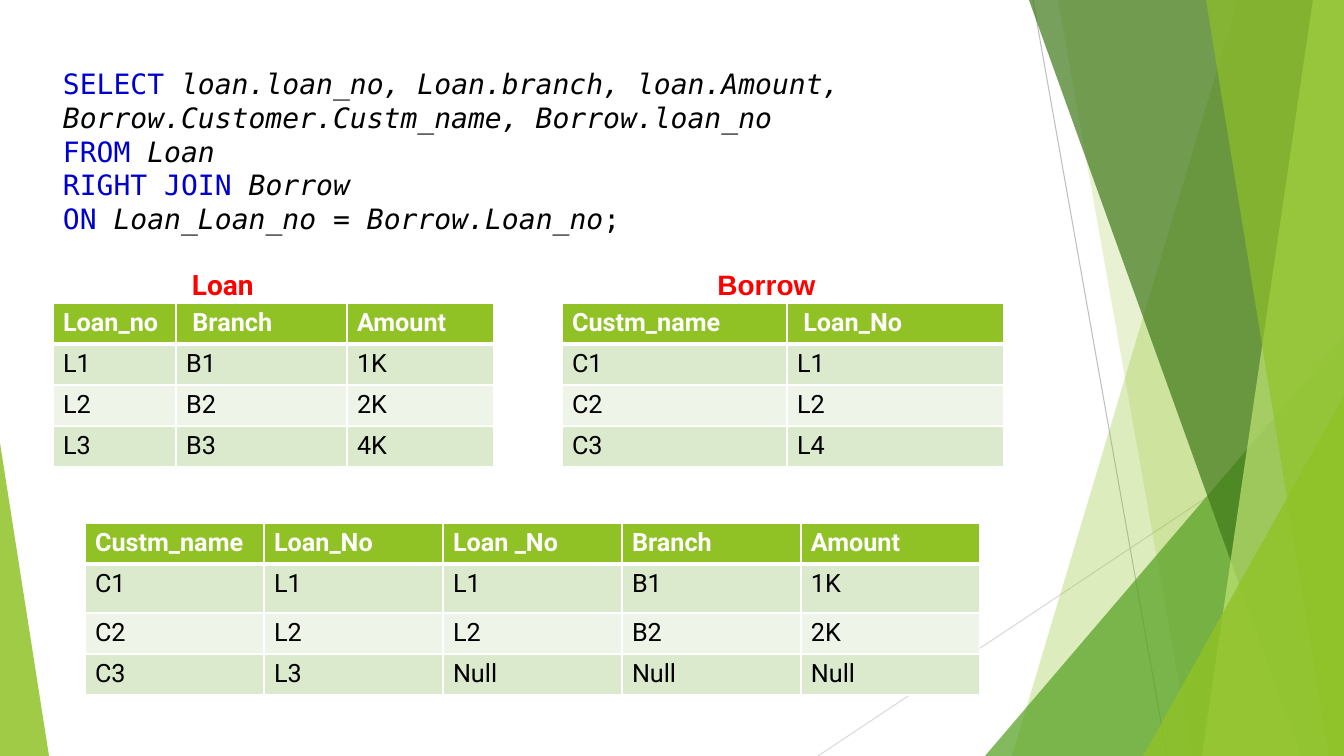
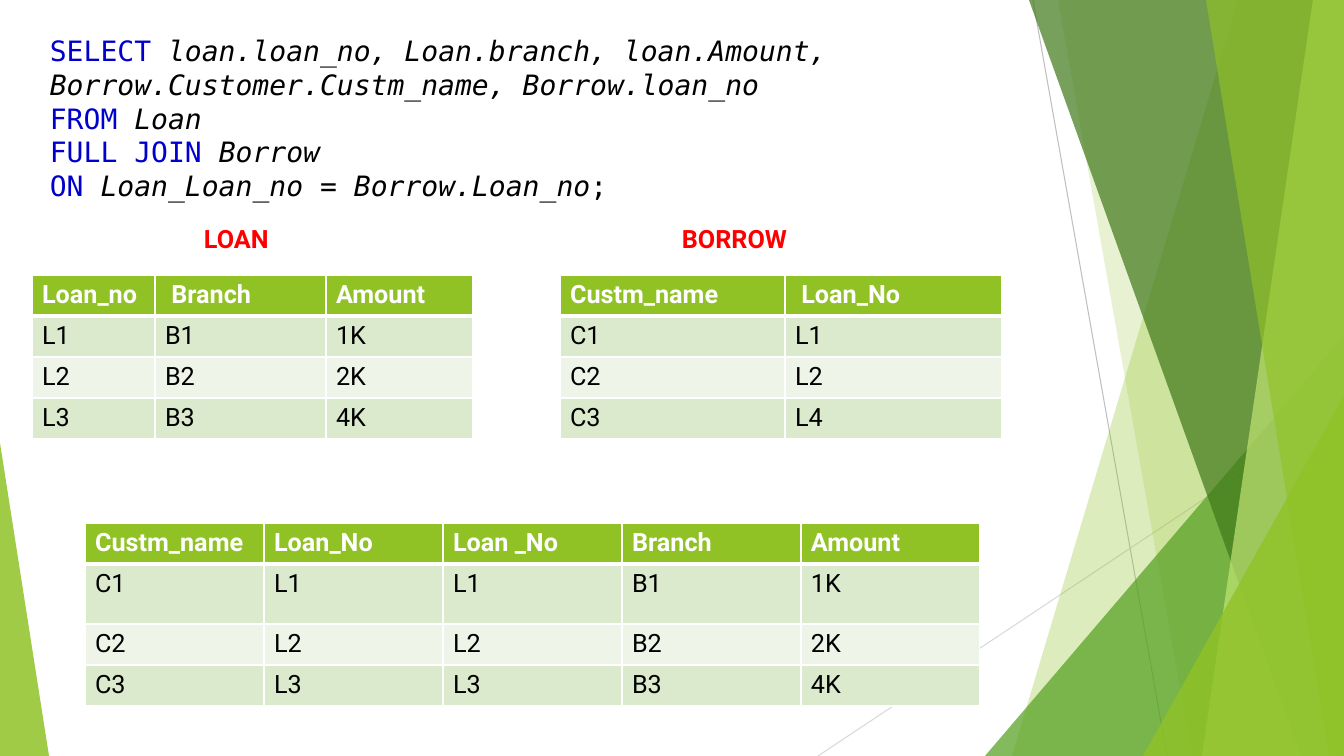
from collections import namedtuple

from lxml import etree
from pptx import Presentation
from pptx.dml.color import RGBColor
from pptx.enum.shapes import MSO_CONNECTOR, MSO_SHAPE
from pptx.enum.text import PP_ALIGN
from pptx.oxml.ns import qn
from pptx.util import Emu, Pt

STRAIGHT = MSO_CONNECTOR.STRAIGHT
TRIANGLE = MSO_SHAPE.ISOSCELES_TRIANGLE
LEFT, CENTER = PP_ALIGN.LEFT, PP_ALIGN.CENTER

WHITE = RGBColor(0xFF, 0xFF, 0xFF)
BLACK = RGBColor(0x00, 0x00, 0x00)
RED = RGBColor(0xFF, 0x00, 0x00)
KEYWORD_BLUE = RGBColor(0x00, 0x00, 0xCD)
LIME = RGBColor(0x90, 0xC2, 0x26)
GREEN = RGBColor(0x54, 0xA0, 0x21)
DARK_GREEN = RGBColor(0x3F, 0x78, 0x19)
PALE_LIME = RGBColor(0xC0, 0xE4, 0x74)
ROW_TINT = RGBColor(0xDB, 0xE9, 0xCD)
ROW_LIGHT = RGBColor(0xEE, 0xF4, 0xE8)
GREY = RGBColor(0xBF, 0xBF, 0xBF)
LIGHT_GREY = RGBColor(0xD9, 0xD9, 0xD9)

BODY_FONT, CODE_FONT, ALT_FONT = "Roboto", "DejaVu Sans Mono", "Arial"
NBSP = "\u00a0"
ROW_HEIGHT = 41

Box = namedtuple("Box", "left top width height")
PAGE = Box(0, 0, 1344, 756)

LOAN_COLUMNS = (123, 171, 147)
LOAN_ROWS = (
    ("Loan_no", " Branch", "Amount"),
    ("L1", "B1", "1K"),
    ("L2", "B2", "2K"),
    ("L3", "B3", "4K"),
)
BORROW_COLUMNS = (225, 217)
BORROW_ROWS = (
    ("Custm_name", " Loan_No"),
    ("C1", "L1"),
    ("C2", "L2"),
    ("C3", "L4"),
)
RESULT_COLUMNS = (179,) * 5
RESULT_ROWS = (
    ("Custm_name", "Loan_No", "Loan _No", "Branch", "Amount"),
    ("C1", "L1", "L1", "B1", "1K"),
    ("C2", "L2", "L2", "B2", "2K"),
)


def px(length):
    return Emu(round(length * 12192000 / PAGE.width))


def style_font(font, name, size, color, bold=False):
    font.name = name
    font.size = Pt(size)
    font.color.rgb = color
    font.bold = bold


def paint(shape, color, opacity):
    shape.shadow.inherit = False
    shape.line.fill.background()
    shape.fill.solid()
    shape.fill.fore_color.rgb = color
    tone = shape.element.spPr.find(qn("a:solidFill")).find(qn("a:srgbClr"))
    etree.SubElement(tone, qn("a:alpha"), val=str(opacity * 1000))


def add_hairline(page, start, end, color):
    line = page.shapes.add_connector(STRAIGHT, *map(px, start + end))
    line.line.color.rgb = color
    line.line.width = Pt(0.75)
    etree.SubElement(line.element.spPr, qn("a:effectLst"))


def add_band(page, box, top_x, bottom_x, color, opacity):
    right, bottom = box.left + box.width, box.top + box.height
    outline = page.shapes.build_freeform(px(box.left + top_x), px(box.top), 1.0)
    corners = ((right, box.top), (right, bottom), (box.left + bottom_x, bottom))
    outline.add_line_segments([(px(x), px(y)) for x, y in corners])
    paint(outline.convert_to_shape(), color, opacity)


def add_corner(page, box, apex, color, opacity):
    corner = page.shapes.add_shape(TRIANGLE, *map(px, box))
    corner.adjustments[0] = apex
    paint(corner, color, opacity)


def add_corner_right(page, box, width, height, color, opacity):
    left = box.left + box.width - width
    top = box.top + box.height - height
    add_corner(page, Box(left, top, width, height), 1, color, opacity)


def add_backdrop(page, box):
    left, top = box.left, box.top
    right, bottom = left + box.width, top + box.height
    add_hairline(page, (left + 1033, top), (left + 1167, bottom), GREY)
    add_hairline(page, (right, top + 406), (left + 818, bottom), LIGHT_GREY)
    add_band(page, box, 1238, 1012, LIME, 30)
    add_band(page, box, 1058, 1192, LIME, 20)
    add_corner_right(page, box, 359, 420, GREEN, 72)
    add_band(page, box, 1029, 1301, DARK_GREEN, 70)
    add_band(page, box, 1313, 1202, PALE_LIME, 70)
    add_band(page, box, 1206, 1329, LIME, 65)
    add_corner_right(page, box, 201, 360, LIME, 80)
    add_corner(page, Box(left, bottom - 313, 49, 313), 0, LIME, 85)


def add_text_box(page, box):
    frame = page.shapes.add_textbox(*map(px, box)).text_frame
    frame.word_wrap = True
    return frame.paragraphs[0]


def add_query(page, box, join):
    para = add_text_box(page, box)
    para.font.name = CODE_FONT
    para.font.size = Pt(20)
    columns = ("loan.loan_no, Loan.branch, loan.Amount, "
               "Borrow.Customer.Custm_name, Borrow.loan_no")
    clauses = (
        ("SELECT", ((columns, True),)),
        ("FROM", (("Loan", True),)),
        (join + NBSP + "JOIN", (("Borrow", True),)),
        ("ON", (("Loan_Loan_no" + NBSP, True), ("=" + NBSP, False),
                ("Borrow.Loan_no", True), (";", False))),
    )
    for index, (keyword, parts) in enumerate(clauses):
        if index:
            para.add_line_break()
        spans = ((keyword + NBSP, False, KEYWORD_BLUE),
                 *((text, italic, BLACK) for text, italic in parts))
        for text, italic, color in spans:
            span = para.add_run()
            span.text = text
            span.font.italic = italic
            span.font.color.rgb = color


def add_heading(page, box, text, size, font=BODY_FONT, align=LEFT):
    para = add_text_box(page, box)
    para.text = text
    para.alignment = align
    style_font(para.font, font, size, RED, True)


def add_borders(cell, row):
    widths = {"L": 1, "R": 1, "T": 3 if row == 1 else 1, "B": 3 if row == 0 else 1}
    properties = cell._tc.get_or_add_tcPr()
    for side, width in widths.items():
        border = etree.SubElement(properties, qn("a:ln" + side), w=str(Pt(width)))
        fill = etree.SubElement(border, qn("a:solidFill"))
        etree.SubElement(fill, qn("a:srgbClr"), val=str(WHITE))


def add_grid(page, left, top, columns, rows, first_height=ROW_HEIGHT):
    heights = [ROW_HEIGHT, first_height] + [ROW_HEIGHT] * (len(rows) - 2)
    box = Box(left, top, sum(columns), sum(heights))
    grid = page.shapes.add_table(len(rows), len(columns), *map(px, box)).table
    grid.horz_banding = False
    for column, width in zip(grid.columns, columns):
        column.width = px(width)
    for row, (height, texts) in enumerate(zip(heights, rows)):
        grid.rows[row].height = px(height)
        header = row == 0
        shade = LIME if header else (ROW_LIGHT, ROW_TINT)[row % 2]
        for column, text in enumerate(texts):
            cell = grid.cell(row, column)
            add_borders(cell, row)
            cell.fill.solid()
            cell.fill.fore_color.rgb = shade
            para = cell.text_frame.paragraphs[0]
            para.text = text
            style_font(para.font, BODY_FONT, 18, WHITE if header else BLACK, header)


def add_join_page(deck, join, query_at, loan_at, borrow_at, last_row, first_height):
    page = deck.slides.add_slide(deck.slide_layouts[6])
    add_backdrop(page, PAGE)
    add_query(page, Box(*query_at, 985, 241), join)
    add_grid(page, *loan_at, LOAN_COLUMNS, LOAN_ROWS)
    add_grid(page, *borrow_at, BORROW_COLUMNS, BORROW_ROWS)
    add_grid(page, 85, 523, RESULT_COLUMNS, RESULT_ROWS + (last_row,), first_height)
    return page


def build_right_join(deck):
    page = add_join_page(deck, "RIGHT", (53, 62), (53, 303), (562, 303),
                         ("C3", "L3", "Null", "Null", "Null"), 49)
    add_heading(page, Box(182, 263, 202, 44), "Loan", 20)
    add_heading(page, Box(624, 263, 285, 44), "Borrow", 20, ALT_FONT, CENTER)


def build_full_join(deck):
    page = add_join_page(deck, "FULL", (40, 29), (32, 275), (560, 275),
                         ("C3", "L3", "L3", "B3", "4K"), 60)
    for left, text in ((194, "LOAN"), (672, "BORROW")):
        add_heading(page, Box(left, 218, 251, 40), text, 18)


deck = Presentation()
deck.slide_width, deck.slide_height = px(PAGE.width), px(PAGE.height)
build_right_join(deck)
build_full_join(deck)
deck.save("out.pptx")
